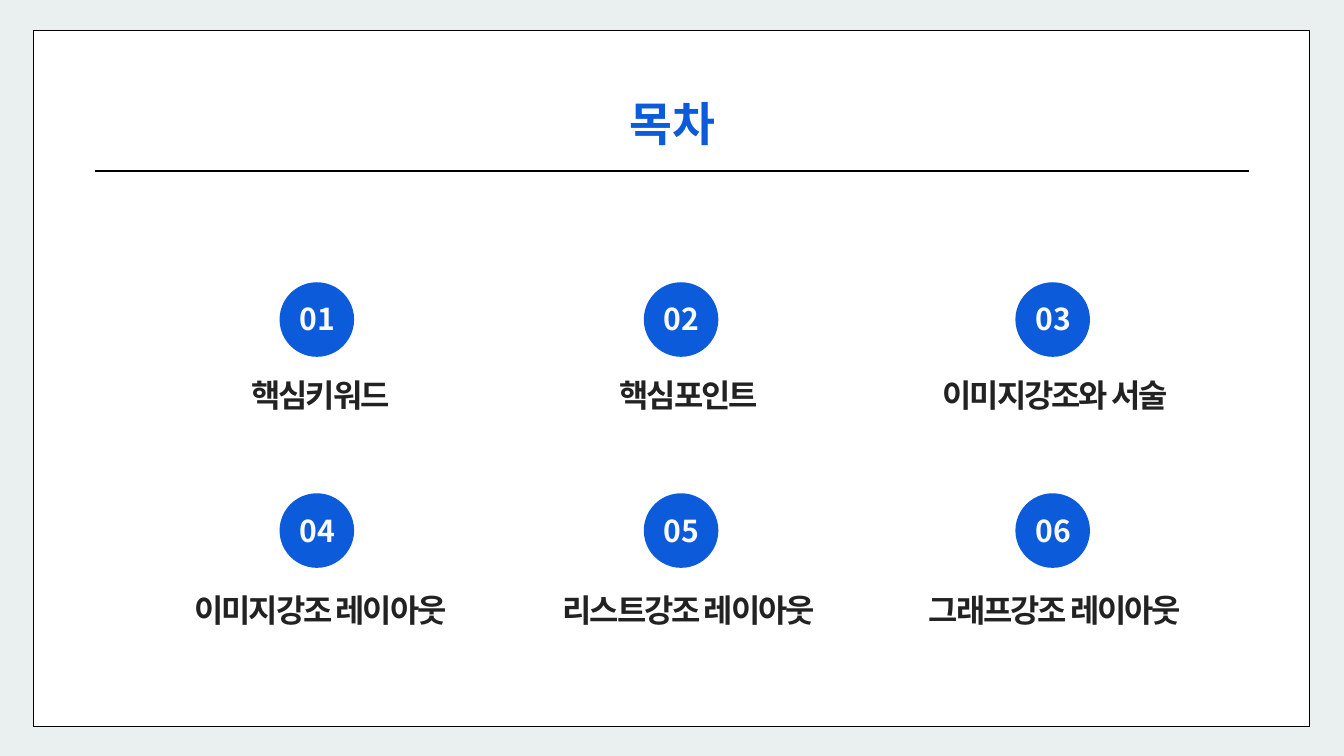
"""Build the table of contents slide with six numbered topics."""
from lxml.etree import SubElement
from pptx import Presentation
from pptx.dml.color import RGBColor
from pptx.enum.shapes import MSO_CONNECTOR as Connector, MSO_SHAPE as Shape
from pptx.enum.text import MSO_ANCHOR as Anchor, MSO_AUTO_SIZE as AutoSize, PP_ALIGN as Align
from pptx.oxml.ns import qn
from pptx.util import Pt

HEADING = "목차"
TOPICS = [
    ["핵심키워드", "핵심포인트", "이미지강조와 서술"],
    ["이미지강조 레이아웃", "리스트강조 레이아웃", "그래프강조 레이아웃"],
]
COLUMNS = [
    {"circle": 416, "label": 239},
    {"circle": 958, "label": 787},
    {"circle": 1511, "label": 1332},
]
ROWS = [
    {"circle": 420, "number": 464, "label": 562},
    {"circle": 734, "number": 779, "label": 882},
]
CIRCLE = 111
NUMBER_WIDTH, NUMBER_HEIGHT = 152, 41
LABEL_WIDTH, LABEL_HEIGHT = 476, 54

COLORS = {"back": "EAEFF0", "panel": "FFFFFF", "line": "000000",
          "blue": "0B5BDB", "ink": "222222", "number": "FAFAFA"}
FONT = "Noto Sans CJK KR"
STYLES = {
    "heading": {"size": 50, "color": "blue", "leading": 60, "spacing": 0},
    "label": {"size": 34.1, "color": "ink", "leading": 38.5, "spacing": -2.2},
    "number": {"size": 32.3, "color": "number", "leading": 26.8, "spacing": 0.5},
}
FRAME = {"margin_left": 0, "margin_top": 0, "margin_right": 0, "margin_bottom": 0,
         "word_wrap": True, "vertical_anchor": Anchor.TOP,
         "auto_size": AutoSize.SHAPE_TO_FIT_TEXT}
EMU_PER_PX = 9144


def px(*lengths):
    return [length * EMU_PER_PX for length in lengths]


def rgb(name):
    return RGBColor.from_string(COLORS[name])


def write(box, text, style):
    frame = box.text_frame
    for name, value in FRAME.items():
        setattr(frame, name, value)
    paragraph = frame.paragraphs[0]
    paragraph.alignment = Align.CENTER
    paragraph.line_spacing = Pt(style["leading"])
    run = paragraph.add_run()
    run.text = text
    for name, value in {"size": Pt(style["size"]), "bold": True, "name": FONT}.items():
        setattr(run.font, name, value)
    run.font.color.rgb = rgb(style["color"])
    properties = run._r.get_or_add_rPr()
    properties.set("spc", str(round(style["spacing"] * 100)))
    SubElement(properties, qn("a:ea")).set("typeface", FONT)


def add_text(slide, bounds, text, style):
    write(slide.shapes.add_textbox(*px(*bounds)), text, STYLES[style])


def add_filled(slide, kind, bounds, color):
    shape = slide.shapes.add_shape(kind, *px(*bounds))
    shape.shadow.inherit = False
    shape.fill.solid()
    shape.fill.fore_color.rgb = rgb(color)
    shape.line.fill.background()
    return shape


def add_heading(slide):
    panel = add_filled(slide, Shape.RECTANGLE, (50, 45, 1899, 1036), "panel")
    panel.line.color.rgb = rgb("line")
    panel.line.width = Pt(0.75)
    rule = slide.shapes.add_connector(Connector.STRAIGHT, *px(142, 254, 1858, 254))
    rule.line.color.rgb = rgb("line")
    rule.line.width = Pt(2.25)
    SubElement(rule._element.spPr, qn("a:effectLst"))
    heading = slide.shapes.title
    heading.left, heading.top, heading.width, heading.height = px(638, 141, 725, 82)
    write(heading, HEADING, STYLES["heading"])
    rule._element.addnext(heading._element)


def add_topic(slide, number, topic, column, row):
    add_filled(slide, Shape.OVAL, (column["circle"], row["circle"], CIRCLE, CIRCLE), "blue")
    number_left = column["circle"] - (NUMBER_WIDTH - CIRCLE) // 2
    add_text(slide, (number_left, row["number"], NUMBER_WIDTH, NUMBER_HEIGHT),
             f"{number:02}", "number")
    add_text(slide, (column["label"], row["label"], LABEL_WIDTH, LABEL_HEIGHT), topic, "label")


def main():
    deck = Presentation()
    deck.slide_width, deck.slide_height = px(2000, 1125)
    slide = deck.slides.add_slide(deck.slide_layouts[5])
    slide.background.fill.solid()
    slide.background.fill.fore_color.rgb = rgb("back")
    add_heading(slide)
    for row_index, (row, topics) in enumerate(zip(ROWS, TOPICS)):
        first = row_index * len(COLUMNS) + 1
        for number, (column, topic) in enumerate(zip(COLUMNS, topics), first):
            add_topic(slide, number, topic, column, row)
    deck.save("out.pptx")


if __name__ == "__main__":
    main()
